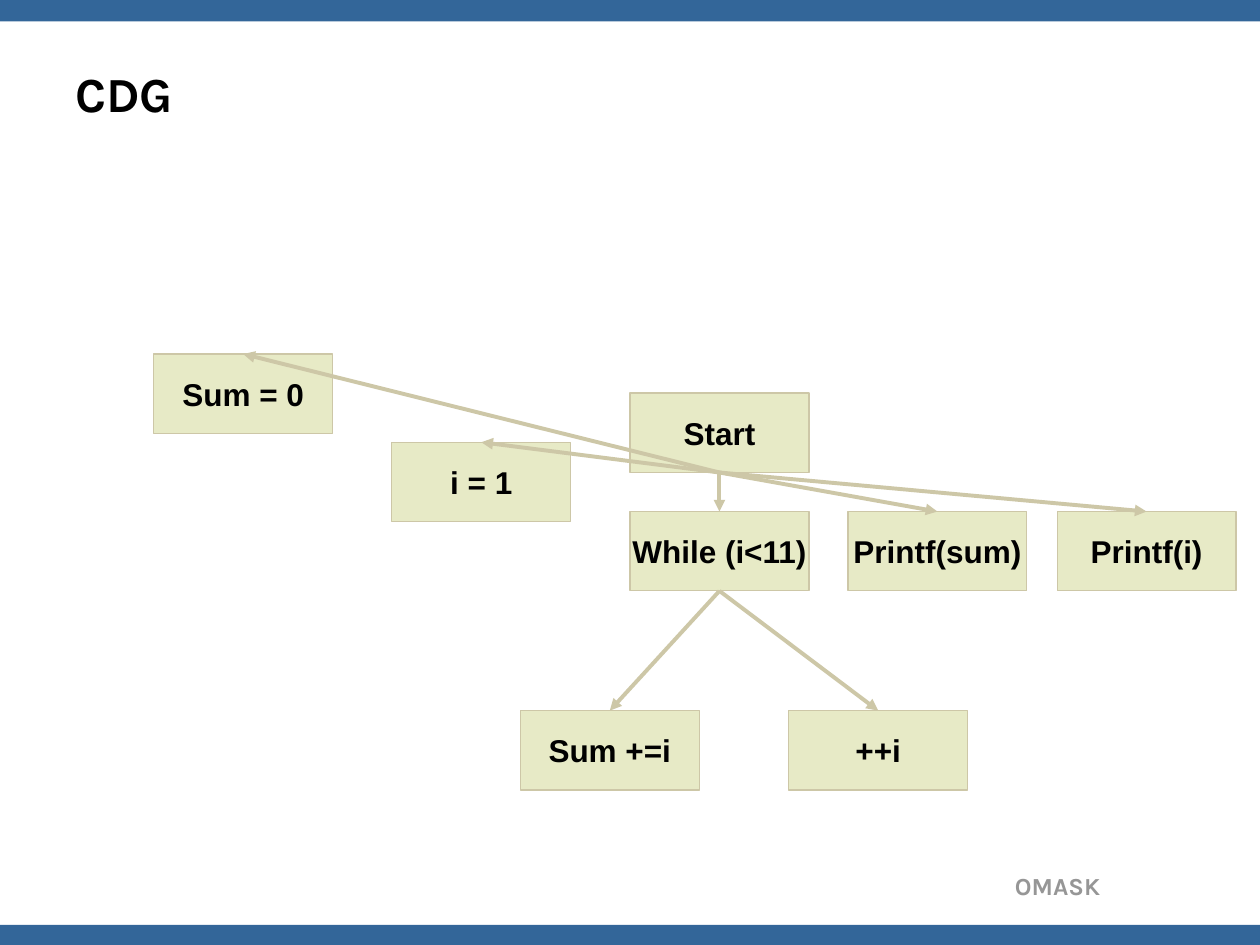
from dataclasses import dataclass

from lxml import etree
from pptx import Presentation
from pptx import util as u
from pptx.dml.color import RGBColor
from pptx.enum import shapes, text
from pptx.oxml.ns import qn


@dataclass(frozen=True)
class Theme:
    band: RGBColor = RGBColor(0x33, 0x66, 0x99)
    node: RGBColor = RGBColor(0xE7, 0xEA, 0xC6)
    edge: RGBColor = RGBColor(0xCD, 0xC7, 0xA7)
    ink: RGBColor = RGBColor(0, 0, 0)
    footer: RGBColor = RGBColor(0x96, 0x96, 0x96)
    heading_font: str = "Karla"
    node_font: str = "Arial"
    title_size: int = 28
    node_size: int = 18
    footer_size: int = 14


class SlideBuilder:
    NODE_WIDTH, NODE_HEIGHT = 1.42, 0.63
    TOP_SITE, BOTTOM_SITE = 0, 2

    def __init__(self, slide, theme):
        self.slide = slide
        self.theme = theme

    def _write(self, shape, words, font_name, size, color, align):
        paragraph = shape.text_frame.paragraphs[0]
        paragraph.text = words
        paragraph.alignment = align
        font = paragraph.font
        font.name, font.size, font.bold = font_name, u.Pt(size), True
        font.color.rgb = color

    def _rectangle(self, left, top, width, height, fill):
        shape = self.slide.shapes.add_shape(
            shapes.MSO_SHAPE.RECTANGLE,
            u.Inches(left), u.Inches(top), u.Inches(width), u.Inches(height))
        shape.shadow.inherit = False
        shape.fill.solid()
        shape.fill.fore_color.rgb = fill
        return shape

    def band(self, top):
        self._rectangle(0, top, 10, 0.17, self.theme.band).line.fill.background()

    def heading(self, words, left, top, width, height, size, color, align):
        box = self.slide.shapes.add_textbox(
            u.Inches(left), u.Inches(top), u.Inches(width), u.Inches(height))
        box.text_frame.word_wrap = True
        box.text_frame.vertical_anchor = text.MSO_ANCHOR.MIDDLE
        self._write(box, words, self.theme.heading_font, size, color, align)

    def node(self, words, left, top):
        shape = self._rectangle(
            left, top, self.NODE_WIDTH, self.NODE_HEIGHT, self.theme.node)
        shape.line.color.rgb = self.theme.edge
        shape.line.width = u.Pt(0.75)
        shape.text_frame.word_wrap = False
        shape.text_frame.vertical_anchor = text.MSO_ANCHOR.MIDDLE
        self._write(shape, words, self.theme.node_font, self.theme.node_size,
                    self.theme.ink, text.PP_ALIGN.CENTER)
        return shape

    def arrow(self, parent, child):
        connector = self.slide.shapes.add_connector(
            shapes.MSO_CONNECTOR.STRAIGHT, 0, 0, 0, 0)
        connector.begin_connect(parent, self.BOTTOM_SITE)
        connector.end_connect(child, self.TOP_SITE)
        connector.line.color.rgb = self.theme.edge
        connector.line.width = u.Pt(2.25)
        line = connector.line._get_or_add_ln()
        etree.SubElement(line, qn("a:tailEnd"), type="triangle")
        etree.SubElement(connector._element.spPr, qn("a:effectLst"))


def main():
    presentation = Presentation()
    presentation.slide_width = u.Inches(10)
    presentation.slide_height = u.Inches(7.5)
    slide = presentation.slides.add_slide(presentation.slide_layouts[6])
    theme = Theme()
    builder = SlideBuilder(slide, theme)

    # Bands, footer and title
    for top in (0, 7.34):
        builder.band(top)
    builder.heading("OMASK", 6.22, 6.86, 2.61, 0.34, theme.footer_size,
                    theme.footer, text.PP_ALIGN.RIGHT)
    builder.heading("CDG", 0.5, 0.3, 9, 0.87, theme.title_size,
                    theme.ink, text.PP_ALIGN.LEFT)

    # Statements of the program
    positions = {
        "Start": (5, 3.12),
        "Sum = 0": (1.22, 2.81),
        "i = 1": (3.11, 3.51),
        "While (i<11)": (5, 4.06),
        "Printf(sum)": (6.73, 4.06),
        "Printf(i)": (8.39, 4.06),
        "++i": (6.26, 5.64),
        "Sum +=i": (4.13, 5.64),
    }
    nodes = {words: builder.node(words, *place)
             for words, place in positions.items()}

    # Control dependences
    dependences = {
        "Start": ("Sum = 0", "i = 1", "While (i<11)", "Printf(sum)", "Printf(i)"),
        "While (i<11)": ("Sum +=i", "++i"),
    }
    for parent, children in dependences.items():
        for child in children:
            builder.arrow(nodes[parent], nodes[child])

    presentation.save("out.pptx")


if __name__ == "__main__":
    main()
